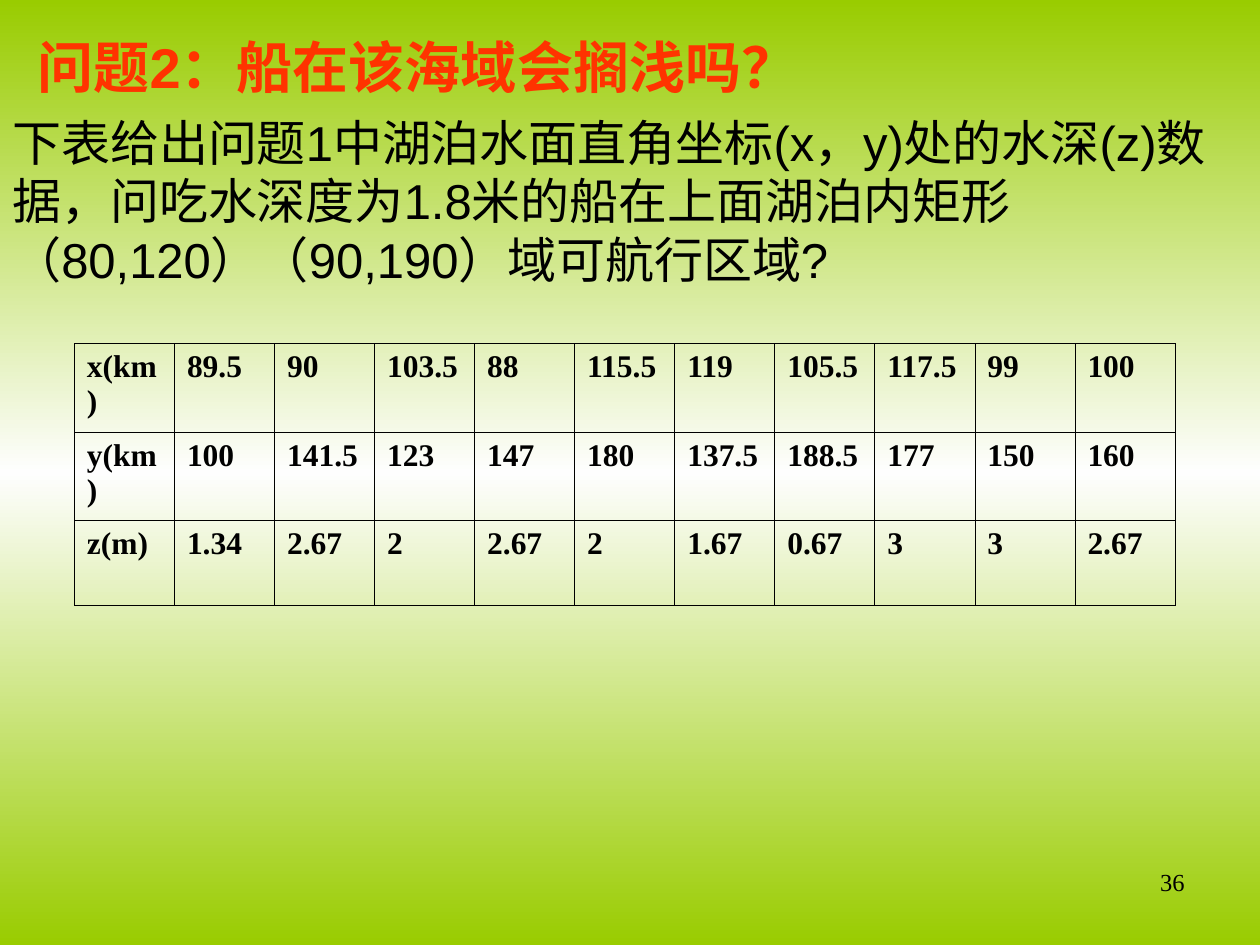
from copy import deepcopy

from lxml import etree
from pptx import Presentation
from pptx.dml.color import RGBColor
from pptx.enum import text
from pptx.oxml import ns
from pptx.util import Pt

ROWS = [
    "x(km) 89.5 90 103.5 88 115.5 119 105.5 117.5 99 100".split(),
    "y(km) 100 141.5 123 147 180 137.5 188.5 177 150 160".split(),
    "z(m) 1.34 2.67 2 2.67 2 1.67 0.67 3 3 2.67".split(),
]
TITLE = {"name": "Arial", "size": Pt(32), "bold": True}
BODY = {"name": "Arial", "size": Pt(28)}
CELL = {"name": "Times New Roman", "size": Pt(18), "bold": True}
PAGE = {"name": "Times New Roman", "size": Pt(14)}


def color(code):
    """Return the colour of a hex string."""
    return RGBColor.from_string(code)


def write(frame, words, look, align, ink="000000"):
    """Write one formatted paragraph and return it."""
    para = frame.paragraphs[0]
    para.alignment = align
    run = para.add_run()
    run.text = words
    for key, value in look.items():
        setattr(run.font, key, value)
    run.font.color.rgb = color(ink)
    return para


def paint(slide):
    """Fill the background with a gradient that is pale in the middle."""
    fill = slide.background.fill
    fill.gradient()
    fill.gradient_angle = 270
    stops = slide.background.element.find(".//" + ns.qn("a:gsLst"))
    stops.insert(1, deepcopy(stops[0]))
    codes = ["99CC00", "FEFEFE", "99CC00"]
    for stop, place, code in zip(fill.gradient_stops, (0, 0.5, 1), codes):
        stop.position = place
        stop.color.rgb = color(code)


def label(slide, box, words, look, align=text.PP_ALIGN.LEFT, ink="000000", grow=True):
    """Place a wrapped text box and return its paragraph."""
    frame = slide.shapes.add_textbox(*map(Pt, box)).text_frame
    frame.word_wrap = True
    kind = text.MSO_AUTO_SIZE
    frame.auto_size = kind.SHAPE_TO_FIT_TEXT if grow else kind.NONE
    return write(frame, words, look, align, ink)


def edge(cell):
    """Draw thin black borders on all sides of a cell."""
    props = cell._tc.get_or_add_tcPr()
    for spot, side in enumerate("LRTB"):
        line = etree.Element(ns.qn("a:ln" + side), w=str(Pt(0.45)))
        fill = etree.SubElement(line, ns.qn("a:solidFill"))
        etree.SubElement(fill, ns.qn("a:srgbClr"), val="000000")
        props.insert(spot, line)


def depths(slide, box, rows, heights):
    """Place the depth table with equal columns."""
    count = len(rows[0])
    grid = slide.shapes.add_table(len(rows), count, *map(Pt, box)).table
    grid.first_row = grid.horz_banding = False
    for col in grid.columns:
        col.width = Pt(box[2] / count)
    for row, height, words in zip(grid.rows, heights, rows):
        row.height = Pt(height)
        for cell, word in zip(row.cells, words):
            cell.fill.background()
            edge(cell)
            write(cell.text_frame, word, CELL, text.PP_ALIGN.JUSTIFY)


def main():
    """Build the slide and save it."""
    deck = Presentation()
    deck.slide_width, deck.slide_height = Pt(720), Pt(540)
    slide = deck.slides.add_slide(deck.slide_layouts[6])
    paint(slide)
    head = label(slide, (14.4, 15, 705.6, 46), "问题2：船在该海域会搁浅吗？", TITLE, ink="FF3300")
    head.space_before = Pt(20)
    label(
        slide, (0, 60.5, 720, 108),
        "下表给出问题1中湖泊水面直角坐标(x，y)处的水深(z)数据，"
        "问吃水深度为1.8米的船在上面湖泊内矩形（80,120）（90,190）域可航行区域?",
        BODY,
    )
    depths(slide, (42.5, 196.3, 629.2, 149.6), ROWS, (50.5, 50.5, 48.6))
    label(slide, (516, 492, 168, 37.5), "36", PAGE, text.PP_ALIGN.RIGHT, grow=False)
    deck.save("out.pptx")


if __name__ == "__main__":
    main()
